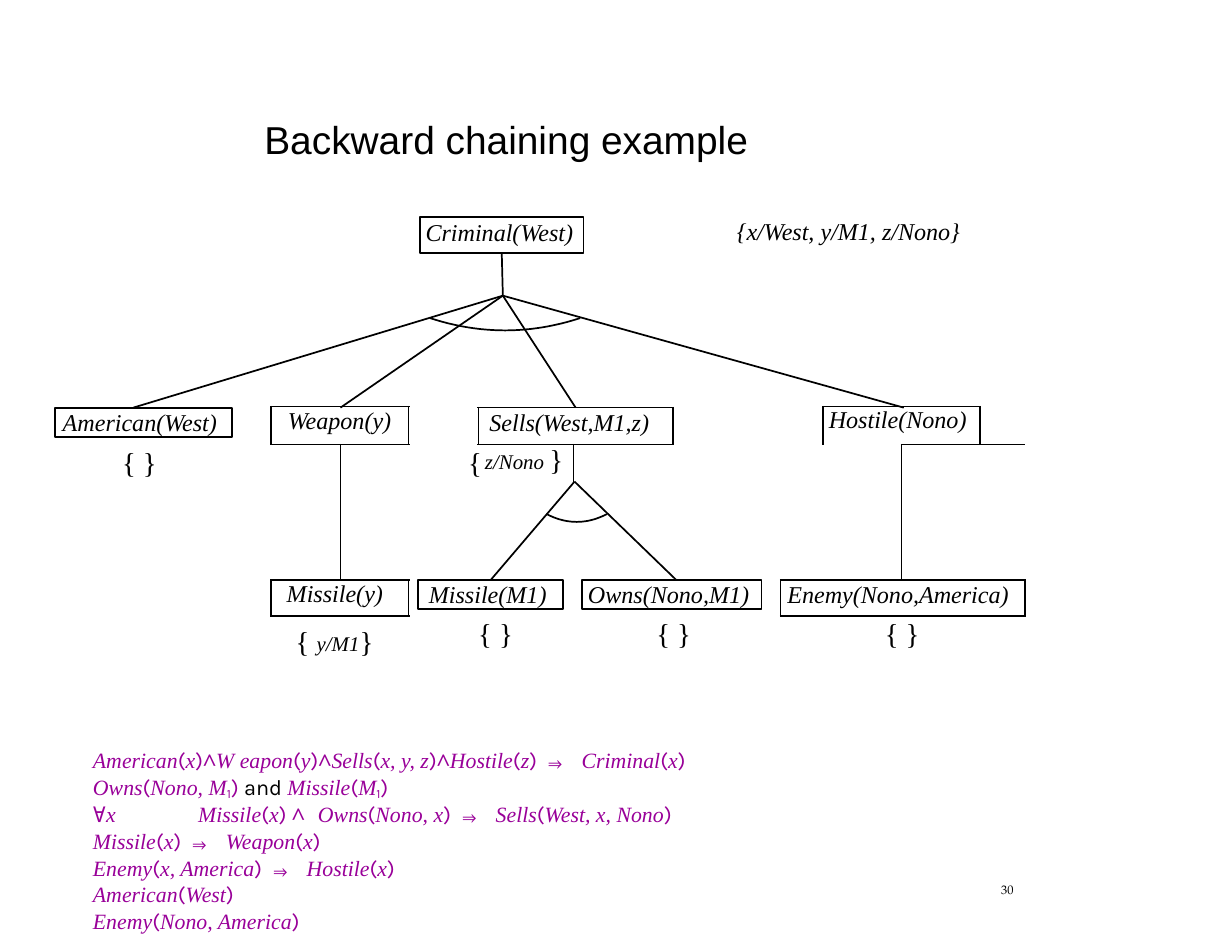
from lxml.etree import SubElement
from pptx import Presentation
from pptx.dml.color import RGBColor
from pptx.enum.shapes import MSO_CONNECTOR, MSO_SHAPE
from pptx.enum.text import MSO_ANCHOR, PP_ALIGN
from pptx.oxml.ns import qn
from pptx.util import Inches, Pt

COLORS = {"ink": "000000", "rule": "990099"}
SERIF = "Times New Roman"
NODE_SIZE = 15.5
BRACE_SIZE = 18.5
LINE_WIDTH = Pt(1.11)
NO_TABLE_STYLE = "{2D5ABB26-0587-4C30-8999-92F81FD0307C}"
RULE_FONTS = {"(": "Karla", ")": "Karla", "₁": "Karla",
              "∧": "Noto Sans Mono", "⇒": "Noto Sans Mono", "∀": "Noto Sans Mono"}
RULES = [
    "American(x)∧W eapon(y)∧Sells(x, y, z)∧Hostile(z) ⇒ Criminal(x)",
    "Owns(Nono, M₁) and Missile(M₁)",
    "∀x\tMissile(x) ∧ Owns(Nono, x) ⇒ Sells(West, x, Nono)",
    "Missile(x) ⇒ Weapon(x)",
    "Enemy(x, America) ⇒ Hostile(x)",
    "American(West)",
    "Enemy(Nono, America)",
]


def add_span(para, text, size, font=SERIF, italic=False, color="ink", baseline=0):
    span = para.add_run()
    span.text = text
    span.font.size = Pt(size)
    span.font.name = font
    span.font.italic = italic
    span.font.color.rgb = RGBColor.from_string(COLORS[color])
    if baseline:
        span.font._element.set("baseline", str(baseline * 1000))


def format_para(para, indent, leading=None):
    para.alignment = PP_ALIGN.LEFT
    para._p.get_or_add_pPr().set("marL", str(Inches(indent)))
    if leading:
        para.line_spacing = Pt(leading)


def clear_insets(frame):
    frame.margin_left = frame.margin_right = frame.margin_top = frame.margin_bottom = 0
    frame.word_wrap = True
    frame.vertical_anchor = MSO_ANCHOR.TOP


def add_text(page, box, spans, indent=0.01, leading=None):
    frame = page.shapes.add_textbox(*map(Inches, box)).text_frame
    clear_insets(frame)
    para = frame.paragraphs[0]
    format_para(para, indent, leading)
    for text, style in spans:
        add_span(para, text, **style)


def add_node(page, box, label, indent, leading=None):
    node = page.shapes.add_shape(MSO_SHAPE.RECTANGLE, *map(Inches, box))
    node.shadow.inherit = False
    node.fill.background()
    node.line.color.rgb = RGBColor.from_string(COLORS["ink"])
    node.line.width = LINE_WIDTH
    clear_insets(node.text_frame)
    para = node.text_frame.paragraphs[0]
    format_para(para, indent, leading)
    add_span(para, label, NODE_SIZE, italic=True)
    return node


def add_branch(page, start, end):
    branch = page.shapes.add_connector(MSO_CONNECTOR.STRAIGHT, *map(Inches, start + end))
    branch.line.color.rgb = RGBColor.from_string(COLORS["ink"])
    branch.line.width = LINE_WIDTH
    SubElement(branch._element.spPr, qn("a:effectLst"))
    return branch


def add_and_arc(page, box, steps=24):
    left, top, width, depth = box
    points = []
    for step in range(steps + 1):
        offset = 2 * step / steps - 1
        points.append((Inches(left + width * step / steps),
                       Inches(top + depth * (1 - offset ** 2))))
    builder = page.shapes.build_freeform(*points[0], scale=1.0)
    builder.add_line_segments(points[1:], close=False)
    arc = builder.convert_to_shape()
    arc.shadow.inherit = False
    arc.fill.background()
    arc.line.color.rgb = RGBColor.from_string(COLORS["ink"])
    arc.line.width = LINE_WIDTH


def set_borders(cell, sides):
    properties = cell._tc.get_or_add_tcPr()
    for side in "LRTB":
        line = SubElement(properties, qn("a:ln" + side), w=str(LINE_WIDTH))
        if side in sides:
            fill = SubElement(line, qn("a:solidFill"))
            SubElement(fill, qn("a:srgbClr"), val=COLORS["ink"])
        else:
            SubElement(line, qn("a:noFill"))


def add_link_table(page, corner, columns, rows, cells):
    box = (*corner, sum(columns), sum(rows))
    frame = page.shapes.add_table(len(rows), len(columns), *map(Inches, box))
    table = frame.table
    table.first_row = table.horz_banding = False
    table._tbl.tblPr.find(qn("a:tableStyleId")).text = NO_TABLE_STYLE
    for column, width in zip(table.columns, columns):
        column.width = Inches(width)
    for row, height in zip(table.rows, rows):
        row.height = Inches(height)
    for row, column, width, sides, indent, leading, spans in cells:
        cell = table.cell(row, column)
        if width > 1:
            cell.merge(table.cell(row, column + width - 1))
        cell.margin_left = cell.margin_right = cell.margin_top = cell.margin_bottom = 0
        set_borders(cell, sides)
        para = cell.text_frame.paragraphs[0]
        format_para(para, indent, leading)
        for text, style in spans:
            add_span(para, text, **style)
    for row in range(len(rows)):
        for column in range(len(columns)):
            table.cell(row, column).fill.background()


def add_rule_spans(para, rule):
    pieces = []
    for char in rule:
        font = RULE_FONTS.get(char, SERIF)
        key = (font, char == "₁")
        if pieces and (char == " " or pieces[-1][0] == key):
            pieces[-1][1] += char
        else:
            pieces.append([key, char])
    for (font, subscript), text in pieces:
        add_span(para, text.replace("₁", "1"), 14, font, font == SERIF, "rule",
                 -12 if subscript else 0)


def add_rules(page, box):
    frame = page.shapes.add_textbox(*map(Inches, box)).text_frame
    clear_insets(frame)
    for index, rule in enumerate(RULES):
        para = frame.add_paragraph() if index else frame.paragraphs[0]
        format_para(para, 0.41)
        para.space_before = Pt(0.3)
        if "\t" in rule:
            tabs = SubElement(para._p.get_or_add_pPr(), qn("a:tabLst"))
            SubElement(tabs, qn("a:tab"), pos=str(Inches(0.94)), algn="l")
        before, word, after = rule.partition("and ")
        add_rule_spans(para, before)
        if word:
            add_span(para, word, 14, "Karla")
            add_rule_spans(para, after)


def add_proof_tree(page):
    label = {"size": NODE_SIZE, "italic": True}
    brace = {"size": BRACE_SIZE}
    binding = {"size": 23.2, "italic": True, "baseline": 2}
    fork, lower_fork = (4.49, 2.64), (5.13, 4.3)

    criminal = add_node(page, (3.75, 1.94, 1.46, 0.32), "Criminal(West)", 0.05)
    add_node(page, (0.49, 3.64, 1.58, 0.26), "American(West)", 0.07)
    missile = add_node(page, (3.73, 5.18, 1.3, 0.26), "Missile(M1)", 0.1, 18.3)
    add_node(page, (5.2, 5.18, 1.6, 0.26), "Owns(Nono,M1)", 0.05, 18.3)

    link_rows = [0.34, 1.21, 0.32]
    add_link_table(page, (2.42, 3.63), [0.62, 0.61], link_rows, [
        (0, 0, 2, "LRTB", 0.15, 18.3, [("Weapon(y)", label)]),
        (1, 0, 1, "RTB", 0, None, []),
        (1, 1, 1, "LTB", 0, None, []),
        (2, 0, 2, "LRTB", 0.14, 17.8, [("Missile(y)", label)])])
    add_link_table(page, (6.97, 3.63), [0.38, 0.7, 0.7, 0.4], link_rows, [
        (0, 0, 1, "R", 0, None, []),
        (0, 1, 2, "LRTB", 0.05, None, [("Hostile(Nono)", label)]),
        (0, 3, 1, "L", 0, None, []),
        (1, 0, 2, "RB", 0, None, []),
        (1, 2, 2, "LTB", 0, None, []),
        (2, 0, 4, "LRTB", 0.06, 18.3, [("Enemy(Nono,America)", label)])])
    add_link_table(page, (4.27, 3.64), [0.85, 0.89], [0.33, 0.33], [
        (0, 0, 2, "LRTB", 0.1, 18.4, [("Sells(West,M1,z)", label)]),
        (1, 0, 1, "RT", 0.06, 21.5, [("z/Nono ", binding), ("}", brace)]),
        (1, 1, 1, "LT", 0, None, [])])

    add_branch(page, (4.49, 2.26), fork).begin_connect(criminal, 2)
    for x in (1.19, 3.04, 5.14, 8.07):
        add_branch(page, fork, (x, 3.64))
    add_branch(page, lower_fork, (4.38, 5.18)).end_connect(missile, 0)
    add_branch(page, lower_fork, (6.04, 5.18))
    add_and_arc(page, (3.84, 2.84, 1.34, 0.11))
    add_and_arc(page, (4.88, 4.59, 0.54, 0.07))

    for left, top in ((1.08, 3.97), (4.26, 5.5), (5.85, 5.5), (7.89, 5.5)):
        add_text(page, (left, top, 0.4, 0.31), [("{ }", brace)])
    add_text(page, (4.17, 3.97, 0.13, 0.32), [("{", brace)])
    add_text(page, (2.63, 5.5, 0.87, 0.31), [("{ ", brace), ("y/M1", binding), ("}", brace)])
    add_text(page, (6.57, 1.93, 2.04, 0.26), [("{x/West, y/M1, z/Nono}", label)])


def main():
    deck = Presentation()
    deck.slide_width, deck.slide_height = Inches(11), Inches(8.5)
    page = deck.slides.add_slide(deck.slide_layouts[6])
    add_text(page, (0.59, 1.11, 8.45, 0.35),
             [("Backward chaining example", {"size": 25, "font": "Arial"})], 1.77, 24.3)
    add_proof_tree(page)
    add_rules(page, (0.42, 6.67, 9.12, 1.68))
    add_text(page, (8.91, 7.89, 0.17, 0.13),
             [("30", {"size": 8, "font": "TeX Gyre Pagella"})], 0.03, 8.8)
    deck.save("out.pptx")


if __name__ == "__main__":
    main()
